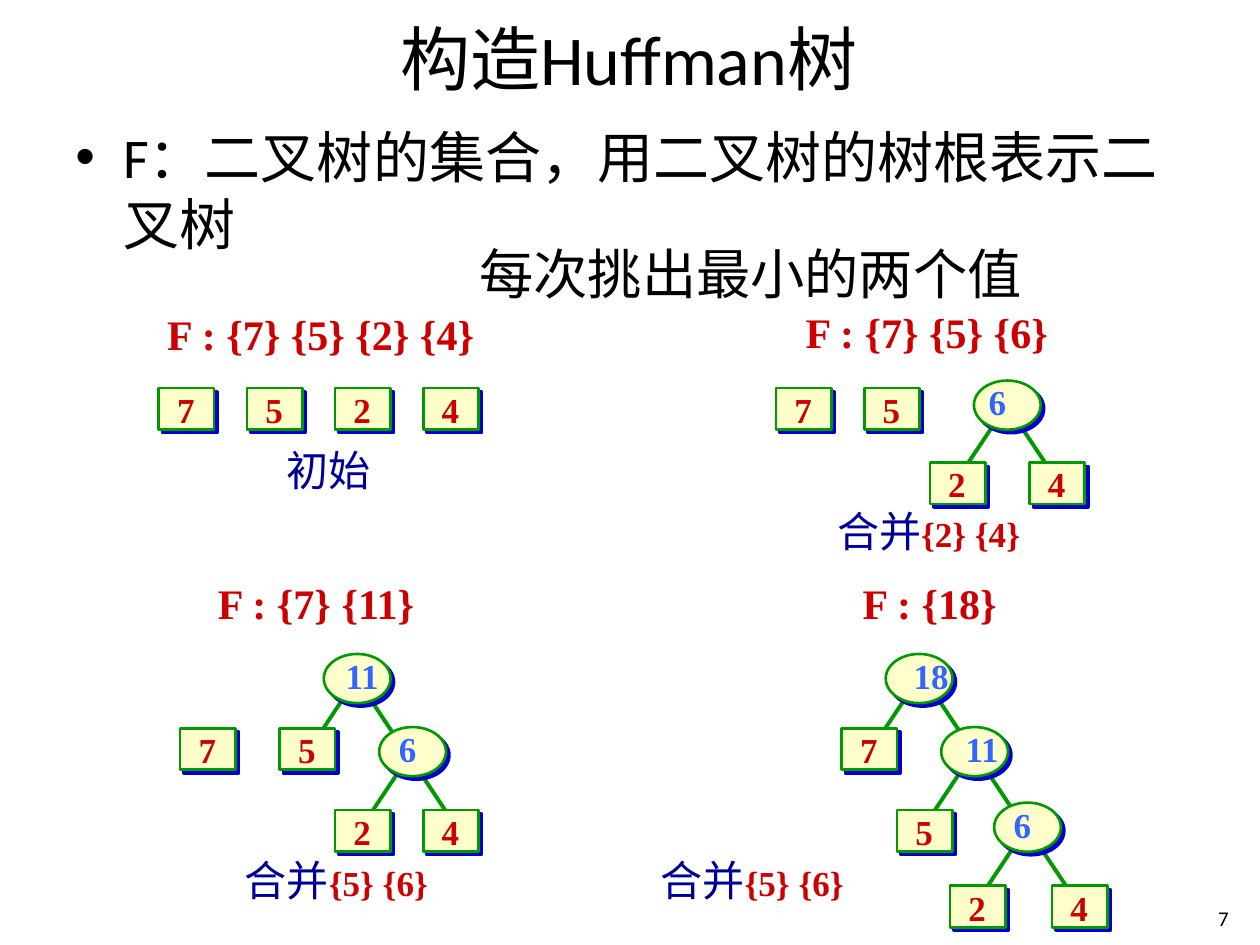
from lxml import etree
from pptx import Presentation
from pptx.dml.color import RGBColor
from pptx.enum.shapes import MSO_CONNECTOR, MSO_SHAPE
from pptx.enum.text import MSO_ANCHOR, MSO_AUTO_SIZE, PP_ALIGN
from pptx.oxml import parse_xml
from pptx.oxml.ns import nsdecls, qn
from pptx.util import Pt

PX = 9144
SERIF = "Times New Roman"
RED, BLUE, NAVY, GREEN, CREAM = "CC0000", "3366FF", "000099", "009900", "FFFFCC"

deck = Presentation()
deck.slide_width, deck.slide_height = 1000 * PX, 750 * PX
slide = deck.slides.add_slide(deck.slide_layouts[6])


def rgb(code):
    return RGBColor.from_string(code)


def write(text, box, size=24, color="000000", font=SERIF, bold=False, wrap=False,
          align=PP_ALIGN.CENTER, anchor=MSO_ANCHOR.MIDDLE, red_tail=""):
    frame = slide.shapes.add_textbox(*[n * PX for n in box]).text_frame
    frame.word_wrap = wrap
    frame.auto_size = MSO_AUTO_SIZE.NONE if wrap else MSO_AUTO_SIZE.SHAPE_TO_FIT_TEXT
    frame.vertical_anchor = anchor
    paragraph = frame.paragraphs[0]
    paragraph.alignment = align
    parts = [(text, size, color, bold)]
    if red_tail:
        parts.append((red_tail, 20, RED, True))
    for words, points, ink, heavy in parts:
        run = paragraph.add_run()
        run.text = words
        run.font.name, run.font.size, run.font.bold = font, Pt(points), heavy
        run.font.color.rgb = rgb(ink)
    return paragraph


write("构造Huffman树", (49, 0, 900, 92), size=40, font="Calibri", wrap=True)
definition = write("F：二叉树的集合，用二叉树的树根表示二叉树", (50, 92, 900, 658), size=32,
                   font="Calibri", wrap=True, align=PP_ALIGN.LEFT, anchor=MSO_ANCHOR.TOP)
definition.space_before = Pt(6.4)
bullet = definition._p.get_or_add_pPr()
bullet.set("marL", str(38 * PX))
bullet.set("indent", str(-38 * PX))
etree.SubElement(bullet, qn("a:buFont")).set("typeface", "Arial")
etree.SubElement(bullet, qn("a:buChar")).set("char", "•")

leaves = [
    ("7", 126, 308), ("5", 196, 308), ("2", 266, 308), ("4", 336, 308),
    ("7", 616, 308), ("5", 686, 308), ("2", 738, 367), ("4", 817, 367),
    ("7", 143, 578), ("5", 222, 578), ("2", 266, 643), ("4", 336, 643),
    ("7", 668, 578), ("5", 712, 643), ("2", 754, 703), ("4", 835, 703),
]
parents = [
    ("6", 773, 302, 53, 33, 33),
    ("6", 301, 577, 61, 33, 40), ("11", 257, 519, 77, 33, 33),
    ("6", 789, 637, 61, 33, 33), ("11", 747, 577, 81, 33, 33), ("18", 703, 519, 88, 33, 26),
]

for _, x, y, _, left_drop, right_drop in parents:
    for start, reach, drop in [(17, -26, left_drop), (35, 26, right_drop)]:
        ends = (x + start, y + drop, x + start + reach, y + drop + 39)
        branch = slide.shapes.add_connector(MSO_CONNECTOR.STRAIGHT, *[n * PX for n in ends])
        branch.line.color.rgb = rgb(GREEN)
        branch.line.width = Pt(2.25)
        etree.SubElement(branch._element.spPr, qn("a:effectLst"))

nodes = [(MSO_SHAPE.RECTANGLE, x, y, 44, 33) for _, x, y in leaves]
nodes += [(MSO_SHAPE.OVAL, x, y, 53, 39) for _, x, y, *_ in parents]
for outline, *box in nodes:
    node = slide.shapes.add_shape(outline, *[n * PX for n in box])
    node.fill.solid()
    node.fill.fore_color.rgb = rgb(CREAM)
    node.line.color.rgb = rgb(GREEN)
    node.line.width = Pt(1.5)
    node._element.spPr.append(parse_xml(
        f'<a:effectLst {nsdecls("a")}><a:outerShdw blurRad="0" dist="35921" dir="2700000" '
        'algn="ctr" rotWithShape="0"><a:srgbClr val="0000CC"/></a:outerShdw></a:effectLst>'))

for weight, x, y in leaves:
    write(weight, (x - 3, y - 12, 49, 58), size=20, color=RED, bold=True)
for weight, x, y, width, *_ in parents:
    write(weight, (x - 8, y - 12, width, 58), size=20, color=BLUE, bold=True, wrap=True)

forests = [
    ("F : {7} {5} {2} {4}", 62, 231, 385), ("F : {7} {5} {6}", 580, 230, 311),
    ("F : {7} {11} ", 119, 445, 272), ("F : {18} ", 643, 445, 198),
]
for forest, x, y, width in forests:
    write(forest, (x, y, width, 67), color=RED, bold=True)

steps = [
    ("初始", "", 198, 339, 126), ("合并", "{2} {4}", 617, 388, 240),
    ("合并", "{5} {6}", 147, 665, 240), ("合并", "{5} {6}", 477, 665, 240),
]
for action, merged, x, y, width in steps:
    write(action, (x, y, width, 67), color=NAVY, red_tail=merged)

write("7", (957, 714, 43, 36), size=12, font="Calibri", wrap=True,
      align=PP_ALIGN.LEFT, anchor=MSO_ANCHOR.TOP)
write("每次挑出最小的两个值", (261, 189, 669, 55), size=31, font="Calibri", wrap=True)

deck.save("out.pptx")
